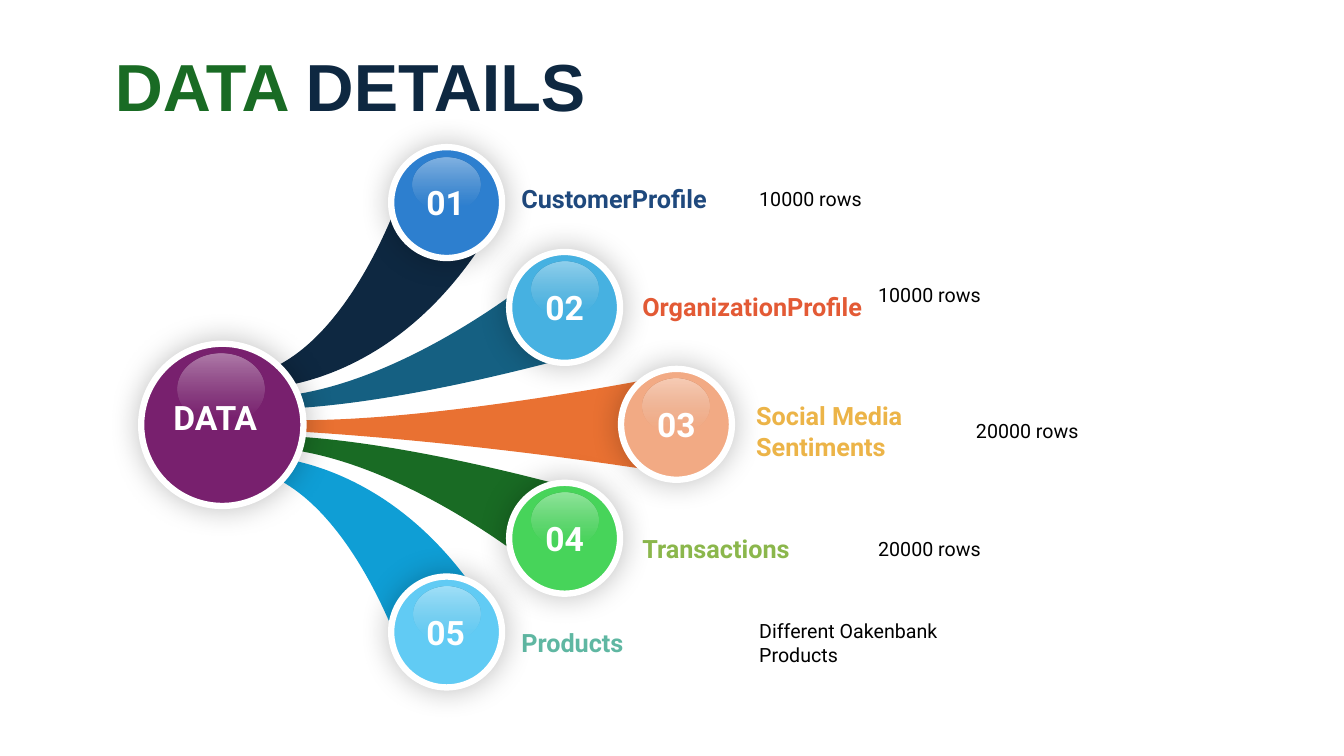
from lxml.etree import SubElement
from pptx import Presentation
from pptx.dml.color import RGBColor
from pptx.enum.shapes import MSO_SHAPE
from pptx.enum.text import MSO_ANCHOR, PP_ALIGN
from pptx.oxml.ns import qn
from pptx.util import Inches, Pt

COLORS = {
    "white": "FFFFFF", "black": "000000", "gray": "D9D9D9",
    "navy": "0E2841", "teal": "156082", "orange": "E97132",
    "green": "196B24", "blue": "0F9ED5", "hub": "78206E",
    "badge1": "2D7FCF", "badge2": "46B1E1", "badge3": "F2AA84",
    "badge4": "47D45A", "badge5": "61CBF4",
    "name1": "1F497D", "name2": "E35A35", "name3": "ECB448",
    "name4": "8BB74C", "name5": "5FB7A2",
}
RGB = {name: RGBColor.from_string(code) for name, code in COLORS.items()}
AXIS = 4.19

prs = Presentation()
prs.slide_width, prs.slide_height = Inches(13.33), Inches(7.5)
shapes = prs.slides.add_slide(prs.slide_layouts[6]).shapes


def add_text(box, runs, size, font="Roboto", bold=True, align=PP_ALIGN.LEFT, **frame_format):
    frame = shapes.add_textbox(*map(Inches, box)).text_frame
    for key, value in frame_format.items():
        setattr(frame, key, value)
    paragraph = frame.paragraphs[0]
    paragraph.alignment = align
    for words, color in runs:
        run = paragraph.add_run()
        run.text = words
        for key, value in {"name": font, "size": Pt(size), "bold": bold}.items():
            setattr(run.font, key, value)
        run.font.color.rgb = RGB[color]


def add_ball(left, top, size, color, gloss_box):
    ball = shapes.add_shape(MSO_SHAPE.OVAL, *map(Inches, (left, top, size, size)))
    ball.fill.solid()
    ball.fill.fore_color.rgb = RGB[color]
    ball.line.color.rgb = RGB["white"]
    ball.line.width = Pt(4.5)
    ball.shadow.inherit = False
    effects = ball._element.spPr.find(qn("a:effectLst"))
    shadow = SubElement(effects, qn("a:outerShdw"), blurRad=str(Pt(22)), dist="0",
                        dir="5400000", algn="ctr", rotWithShape="0")
    tint = SubElement(shadow, qn("a:srgbClr"), val=COLORS["black"])
    SubElement(tint, qn("a:alpha"), val="25000")

    gloss = shapes.add_shape(MSO_SHAPE.OVAL, *map(Inches, gloss_box))
    gloss.shadow.inherit = False
    gloss.line.fill.background()
    gloss.fill.gradient()
    gloss.fill.gradient_angle = 270
    stops = zip(gloss.fill.gradient_stops, ("white", "gray"), (0, 0.9), (40000, 0))
    for stop, shade, position, alpha in stops:
        stop.color.rgb = RGB[shade]
        stop.position = position
        code = stop._gs.find(qn("a:srgbClr"))
        SubElement(code, qn("a:alpha"), val=str(alpha))


label_format = {"word_wrap": True, "vertical_anchor": MSO_ANCHOR.MIDDLE,
                "margin_left": 0, "margin_right": 0}
tables = [
    ("CustomerProfile", (5.17, 1.77, 2.01, 0.4), "10000 rows", (7.53, 1.8, 2.51, 0.34)),
    ("OrganizationProfile", (6.37, 2.84, 2.35, 0.4), "10000 rows", (8.71, 2.75, 2.51, 0.34)),
    ("Social Media Sentiments", (7.5, 3.92, 2.01, 0.71), "20000 rows", (9.68, 4.1, 2.51, 0.34)),
    ("Transactions", (6.37, 5.24, 2.35, 0.4), "20000 rows", (8.71, 5.27, 2.51, 0.34)),
    ("Products", (5.17, 6.17, 2.01, 0.4), "Different Oakenbank Products", (7.53, 6.09, 2.51, 0.57)),
]
for number, (name, name_box, detail, detail_box) in enumerate(tables, 1):
    add_text(name_box, [(name, f"name{number}")], 18, **label_format)
    add_text(detail_box, [(detail, "black")], 14, bold=False, **label_format)

inner = [(5.27, 2.78), (3.75, 4.01), (2.45, 3.94), (2.42, 4.05), (3.32, 4.17), (5.67, 3.54)]
middle = [(6.5, 3.75), (3.87, 4.27), (2.57, 4.15), (2.57, 4.26), (4.22, 4.32), (6.5, 4.67)]
outer = [(3.98, 1.91), (3.43, 3.56), (2.45, 3.73), (2.45, 3.86), (3.86, 3.96), (4.87, 2.28)]
ribbons = [("teal", inner, False), ("green", inner, True), ("orange", middle, False),
           ("navy", outer, False), ("blue", outer, True)]
for color, points, mirrored in ribbons:
    start, bend, neck, turn, swell, end = [
        (Inches(x), Inches(2 * AXIS - y if mirrored else y)) for x, y in points]
    builder = shapes.build_freeform(*start)
    builder.add_line_segments(
        [start, bend, neck, turn, turn, turn, turn, swell, end, start], close=True)
    ribbon = builder.convert_to_shape()
    segments = list(ribbon._element.iter(qn("a:lnTo")))
    for first in (0, 3, 6):
        curve, *others = segments[first:first + 3]
        curve.tag = qn("a:cubicBezTo")
        for other in others:
            curve.append(other[0])
            other.getparent().remove(other)
    ribbon.fill.solid()
    ribbon.fill.fore_color.rgb = RGB[color]
    ribbon.line.fill.background()
    ribbon.shadow.inherit = False

add_ball(1.4, 3.41, 1.61, "hub", (1.76, 3.51, 0.86, 0.7))
add_text((1.6, 3.89, 1.07, 0.5), [("DATA", "white")], 24, align=PP_ALIGN.CENTER, word_wrap=False)

badges = [(3.88, 1.46, 4.09, 4.13), (5.05, 2.5, 5.27, 5.31), (6.16, 3.66, 6.37, 6.42),
          (5.05, 4.79, 5.27, 5.31), (3.88, 5.72, 4.1, 4.13)]
for number, (left, top, gloss_left, digits_left) in enumerate(badges, 1):
    add_ball(left, top, 1.1, f"badge{number}", (gloss_left, top + 0.1, 0.67, 0.54))
    add_text((digits_left, top + 0.3, 0.59, 0.5), [(f"{number:02}", "white")], 24,
             word_wrap=False)

add_text((1.04, 0.4, 10.77, 0.9), [("DATA ", "green"), ("DETAILS", "navy")], 47.5,
         font="Arial", word_wrap=True)

prs.save("out.pptx")
